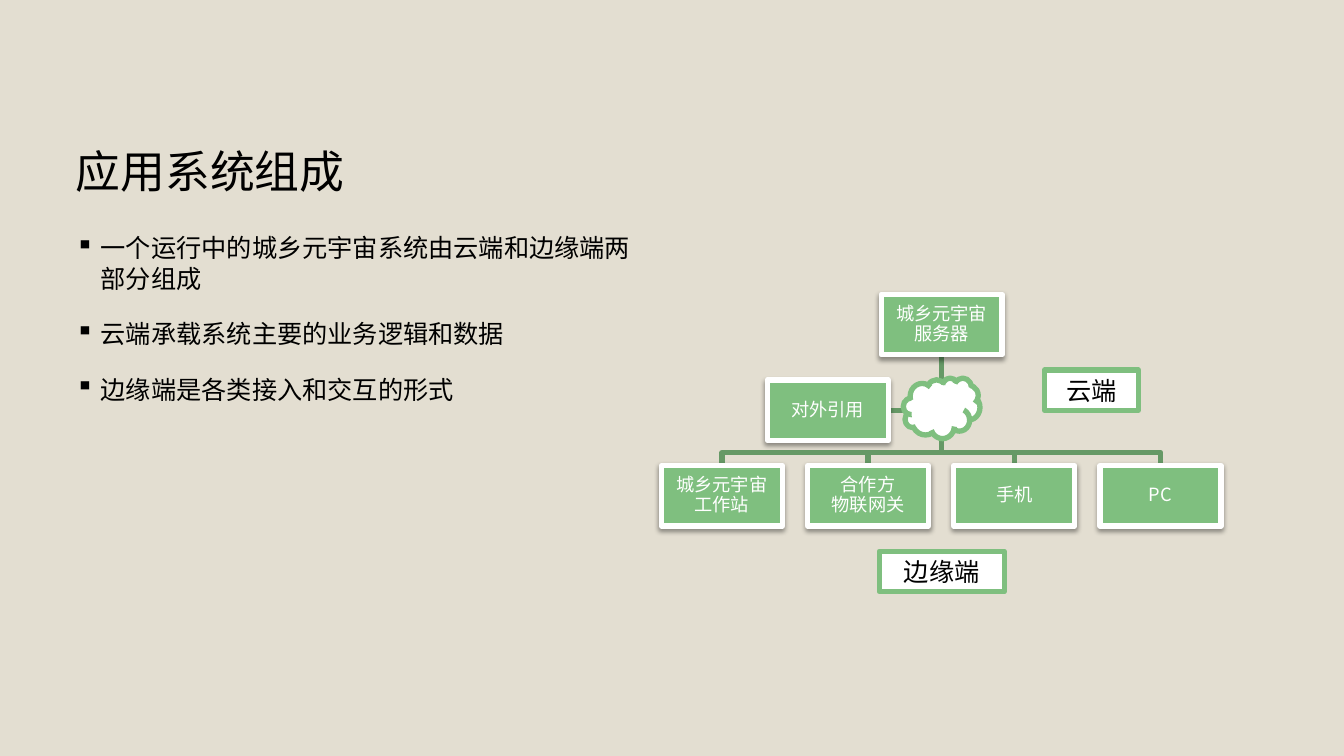
from copy import deepcopy

from lxml import etree
from pptx import Presentation
from pptx.dml.color import RGBColor
from pptx.enum.shapes import MSO_SHAPE as Shape
from pptx.enum.text import MSO_ANCHOR as Anchor, PP_ALIGN as Align
from pptx.oxml.ns import qn
from pptx.util import Inches, Pt

FONT = "Noto Sans CJK SC"
BEIGE = RGBColor(0xE3, 0xDE, 0xD1)
GREEN = RGBColor(0x7F, 0xBF, 0x7F)
DARK_GREEN = RGBColor(0x66, 0x99, 0x66)
WHITE = RGBColor(0xFF, 0xFF, 0xFF)
BLACK = RGBColor(0, 0, 0)

LINE_WIDTH = Pt(3.8)
NODE_W, NODE_H = 1.2, 0.6
EDGE_LEFT, EDGE_TOP, EDGE_STEP = 6.56, 4.62, 1.45
SERVER_LEFT, SERVER_TOP = 8.74, 2.92
OUTSIDE_LEFT, OUTSIDE_TOP = 7.61, 3.77
BUS_Y = 4.49

EDGE_NODES = ["城乡元宇宙\n工作站", "合作方\n物联网关", "手机", "PC"]
POINTS = [
    "一个运行中的城乡元宇宙系统由云端和边缘端两部分组成",
    "云端承载系统主要的业务逻辑和数据",
    "边缘端是各类接入和交互的形式",
]


def apply_format(target, values):
    for name, value in values.items():
        setattr(target, name, value)


def write_paragraph(para, text, size, color, **layout):
    apply_format(para, layout)
    para.text = text.replace("\n", "\v")
    for span in para.runs:
        apply_format(span.font, {"size": Pt(size), "name": FONT})
        span.font.color.rgb = color
    for line_break in para._p.findall(qn("a:br")):
        line_break.insert(0, deepcopy(para.runs[0]._r.rPr))


def set_frame(shape, anchor, side, edge):
    apply_format(shape.text_frame, {
        "word_wrap": True, "vertical_anchor": anchor,
        "margin_left": Inches(side), "margin_right": Inches(side),
        "margin_top": Inches(edge), "margin_bottom": Inches(edge),
    })
    return shape.text_frame


def add_text_box(page, left, top, width, height, anchor):
    box = page.shapes.add_textbox(*map(Inches, (left, top, width, height)))
    return set_frame(box, anchor, 0, 0.05)


def add_bullet(para):
    props = para._p.get_or_add_pPr()
    props.set("marL", str(Inches(0.25)))
    props.set("indent", str(-Inches(0.25)))
    etree.SubElement(props, qn("a:buChar")).set("char", "▪")


def add_filled(page, kind, left, top, width, height, fill, line):
    shape = page.shapes.add_shape(kind, *map(Inches, (left, top, width, height)))
    shape.shadow.inherit = False
    shape.fill.solid()
    shape.fill.fore_color.rgb = fill
    shape.line.color.rgb = line
    shape.line.width = LINE_WIDTH
    return shape


def add_soft_shadow(shape):
    effects = shape._element.spPr.find(qn("a:effectLst"))
    shadow = etree.SubElement(effects, qn("a:outerShdw"), {
        "blurRad": str(Pt(3.5)), "dist": str(Pt(2)),
        "dir": "5400000", "rotWithShape": "0",
    })
    color = etree.SubElement(shadow, qn("a:srgbClr"), val="000000")
    etree.SubElement(color, qn("a:alpha"), val="38000")


def add_node(page, text, left, top):
    node = add_filled(page, Shape.RECTANGLE, left, top, NODE_W, NODE_H, GREEN, WHITE)
    add_soft_shadow(node)
    frame = set_frame(node, Anchor.MIDDLE, 0.01, 0.01)
    write_paragraph(frame.paragraphs[0], text, 13, WHITE,
                    alignment=Align.CENTER, line_spacing=0.9)


def add_label(page, text, left, top, width):
    label = add_filled(page, Shape.RECTANGLE, left, top, width, 0.4, WHITE, GREEN)
    frame = set_frame(label, Anchor.TOP, 0.1, 0.05)
    write_paragraph(frame.paragraphs[0], text, 18, BLACK, alignment=Align.CENTER)


def add_link(page, points):
    start, *rest = [(Inches(x), Inches(y)) for x, y in points]
    builder = page.shapes.build_freeform(*start)
    builder.add_line_segments(rest, close=False)
    link = builder.convert_to_shape()
    link.shadow.inherit = False
    link.fill.background()
    link.line.color.rgb = DARK_GREEN
    link.line.width = LINE_WIDTH


def add_tree(page):
    trunk_x = SERVER_LEFT + NODE_W / 2
    trunk_top = SERVER_TOP + NODE_H
    outside_y = OUTSIDE_TOP + NODE_H / 2
    edge_lefts = [EDGE_LEFT + i * EDGE_STEP for i in range(len(EDGE_NODES))]

    add_link(page, [(trunk_x, trunk_top), (trunk_x, outside_y),
                    (OUTSIDE_LEFT + NODE_W, outside_y)])
    for left in edge_lefts:
        center = left + NODE_W / 2
        add_link(page, [(trunk_x, trunk_top), (trunk_x, BUS_Y),
                        (center, BUS_Y), (center, EDGE_TOP)])

    add_node(page, "城乡元宇宙\n服务器", SERVER_LEFT, SERVER_TOP)
    for text, left in zip(EDGE_NODES, edge_lefts):
        add_node(page, text, left, EDGE_TOP)
    add_node(page, "对外引用", OUTSIDE_LEFT, OUTSIDE_TOP)


def main():
    deck = Presentation()
    deck.slide_width, deck.slide_height = Inches(13.33), Inches(7.5)
    page = deck.slides.add_slide(deck.slide_layouts[6])
    page.background.fill.solid()
    page.background.fill.fore_color.rgb = BEIGE

    title = add_text_box(page, 0.75, 0.75, 11.37, 1.27, Anchor.BOTTOM)
    write_paragraph(title.paragraphs[0], "应用系统组成", 32, BLACK, line_spacing=0.9)

    body = add_text_box(page, 0.75, 2.26, 5.57, 3.62, Anchor.TOP)
    for i, text in enumerate(POINTS):
        para = body.add_paragraph() if i else body.paragraphs[0]
        write_paragraph(para, text, 18, BLACK, space_before=Pt(18))
        add_bullet(para)

    add_tree(page)
    add_filled(page, Shape.CLOUD, 8.96, 3.75, 0.76, 0.6, WHITE, GREEN)
    add_label(page, "边缘端", 8.72, 5.47, 1.24)
    add_label(page, "云端", 10.36, 3.67, 0.93)

    deck.save("out.pptx")


main()
